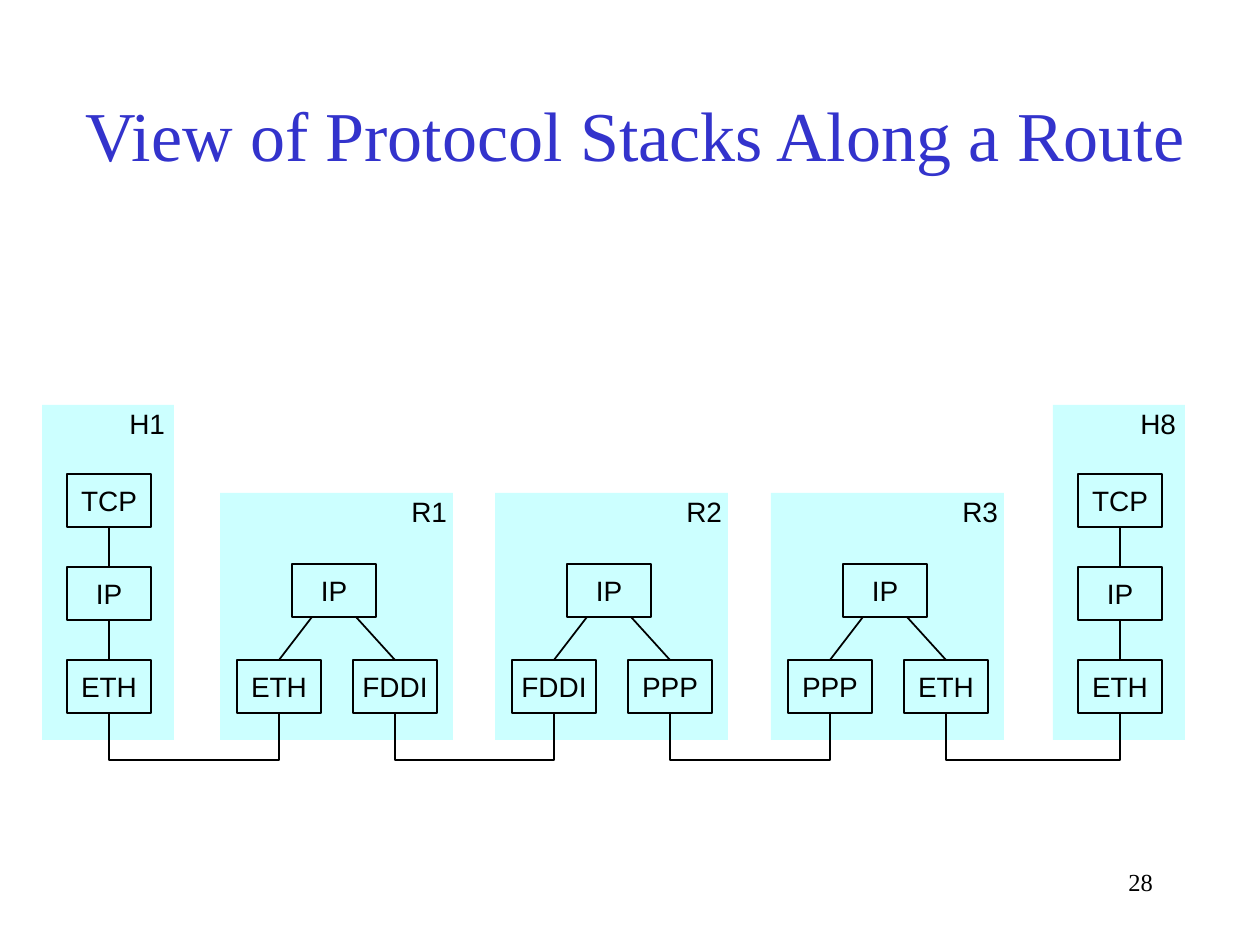
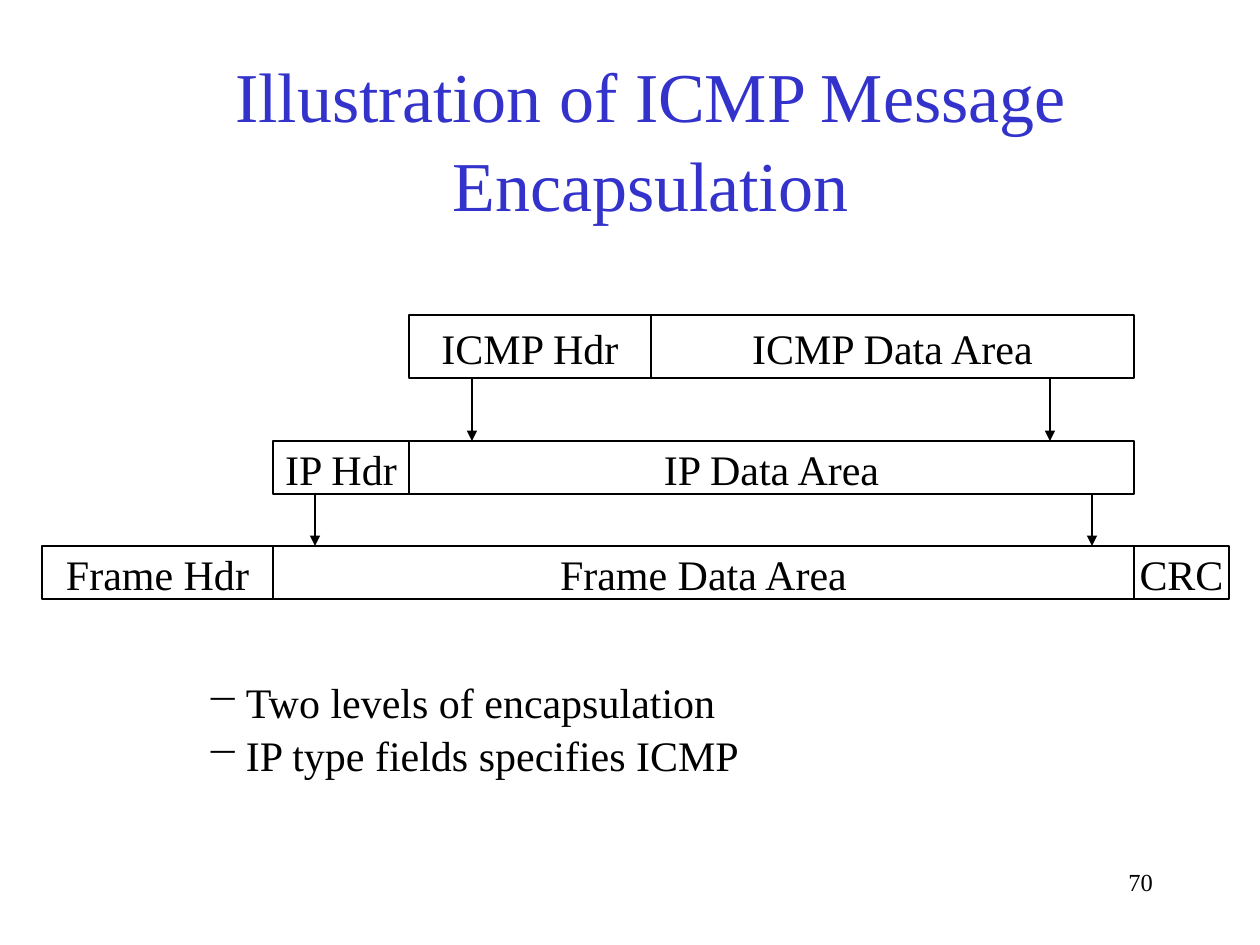
from lxml.etree import SubElement
from pptx import Presentation
from pptx.dml.color import RGBColor
from pptx.enum.shapes import MSO_CONNECTOR as CONN, MSO_SHAPE as SHAPE
from pptx.enum.text import MSO_ANCHOR as ANCHOR, MSO_AUTO_SIZE as FIT, PP_ALIGN as ALIGN
from pptx.oxml.ns import qn
from pptx.util import Emu, Pt

BLACK = RGBColor(0x00, 0x00, 0x00)
WHITE = RGBColor(0xFF, 0xFF, 0xFF)
TITLE_BLUE = RGBColor(0x33, 0x33, 0xCC)
PALE_CYAN = RGBColor(0xCC, 0xFF, 0xFF)
SERIF, SANS = "Times New Roman", "Arial"
LINE_SPACING = 1.05

BOX_W, BOX_H = 84, 53
PANEL_BOTTOM = 740
LOWEST_BOX_Y = 660
CABLE_Y = 760


def px(n):
    return Emu(round(n * 914400 / 126))


def write(p, text, size, font=SERIF, color=BLACK, align=ALIGN.CENTER):
    p.alignment = align
    r = p.add_run()
    r.text = text
    r.font.size = Pt(size)
    r.font.name = font
    r.font.color.rgb = color


def set_frame(tf, anchor, left=0, top=0, right=0, bottom=0, wrap=True):
    tf.word_wrap = wrap
    tf.auto_size = FIT.NONE
    tf.vertical_anchor = anchor
    tf.margin_left, tf.margin_top = px(left), px(top)
    tf.margin_right, tf.margin_bottom = px(right), px(bottom)


def add_slide(prs, title, title_box, number):
    s = prs.slides.add_slide(prs.slide_layouts[5])
    sp = s.shapes.title
    sp.left, sp.top, sp.width, sp.height = map(px, title_box)
    set_frame(sp.text_frame, ANCHOR.MIDDLE, 12, 6, 12, 6)
    p = sp.text_frame.paragraphs[0]
    p.line_spacing = LINE_SPACING
    write(p, title, 40, color=TITLE_BLUE)
    tf = s.shapes.add_textbox(px(903), px(861), px(262), px(63)).text_frame
    set_frame(tf, ANCHOR.TOP, 12, 6, 12, 6)
    write(tf.paragraphs[0], number, 14, align=ALIGN.RIGHT)
    return s


def add_rect(s, x, y, w, h, fill=None, line_width=None):
    sp = s.shapes.add_shape(SHAPE.RECTANGLE, px(x), px(y), px(w), px(h))
    sp.shadow.inherit = False
    if fill is None:
        sp.fill.background()
    else:
        sp.fill.solid()
        sp.fill.fore_color.rgb = fill
    if line_width is None:
        sp.line.fill.background()
    else:
        sp.line.color.rgb = BLACK
        sp.line.width = Pt(line_width)
    return sp


def add_line(s, x1, y1, x2, y2, width=1, arrow=False):
    c = s.shapes.add_connector(CONN.STRAIGHT, px(x1), px(y1), px(x2), px(y2))
    c.line.color.rgb = BLACK
    c.line.width = Pt(width)
    if arrow:
        SubElement(c.line._get_or_add_ln(), qn("a:tailEnd"), type="triangle")
    SubElement(c._element.spPr, qn("a:effectLst"))
    return c


def add_panel(s, name, x, y, w, right_margin):
    sp = add_rect(s, x, y, w, PANEL_BOTTOM - y, PALE_CYAN)
    set_frame(sp.text_frame, ANCHOR.TOP, top=2, right=right_margin)
    write(sp.text_frame.paragraphs[0], name, 16, SANS, align=ALIGN.RIGHT)


def add_layer(s, protocol, x, y):
    sp = add_rect(s, x, y, BOX_W, BOX_H, line_width=1)
    set_frame(sp.text_frame, ANCHOR.MIDDLE)
    write(sp.text_frame.paragraphs[0], protocol, 16, SANS)
    return sp


def add_host(s, name, x):
    add_panel(s, name, x, 405, 132, 9)
    layers = [add_layer(s, protocol, x + 25, 474 + 93 * i)
              for i, protocol in enumerate(("TCP", "IP", "ETH"))]
    for upper, lower in zip(layers, layers[1:]):
        c = add_line(s, 0, 0, 0, 0)
        c.begin_connect(upper, 2)
        c.end_connect(lower, 0)
    return layers[-1]


def add_router(s, name, x, left_link, right_link):
    top = 493
    ip_y = 564
    add_panel(s, name, x, top, 233, 6)
    add_layer(s, "IP", x + 72, ip_y)
    ports = []
    for protocol, box_dx, line_dx in ((left_link, 17, 92), (right_link, 133, 136)):
        port = add_layer(s, protocol, x + box_dx, LOWEST_BOX_Y)
        start = x + line_dx
        c = add_line(s, start, ip_y + BOX_H, start, LOWEST_BOX_Y)
        c.end_connect(port, 0)
        ports.append(port)
    return ports


def add_cable(s, port_a, port_b):
    xa, xb = (port.left + port.width // 2 for port in (port_a, port_b))
    ya, yb = (port.top + port.height for port in (port_a, port_b))
    fb = s.shapes.build_freeform(xa, ya)
    fb.add_line_segments([(xa, px(CABLE_Y)), (xb, px(CABLE_Y)), (xb, yb)], close=False)
    sp = fb.convert_to_shape()
    sp.shadow.inherit = False
    sp.fill.background()
    sp.line.color.rgb = BLACK
    sp.line.width = Pt(1)


def add_packet(s, y, h, edges, fields):
    for left, right, field in zip(edges, edges[1:], fields):
        sp = add_rect(s, left, y, right - left, h, WHITE, 0.75)
        set_frame(sp.text_frame, ANCHOR.MIDDLE, wrap=False)
        p = sp.text_frame.paragraphs[0]
        p.line_spacing = LINE_SPACING
        write(p, field, 24)


def add_dash_list(s, items, x, y, w, h):
    tf = s.shapes.add_textbox(px(x), px(y), px(w), px(h)).text_frame
    set_frame(tf, ANCHOR.TOP, top=6)
    for i, item in enumerate(items):
        p = tf.add_paragraph() if i else tf.paragraphs[0]
        p.line_spacing = LINE_SPACING
        write(p, item, 24, align=ALIGN.LEFT)
        pPr = p._p.get_or_add_pPr()
        pPr.set("marL", str(px(40)))
        pPr.set("indent", str(-px(40)))
        SubElement(pPr, qn("a:buChar"), char="−")


def build_route(prs):
    s = add_slide(prs, "View of Protocol Stacks Along a Route", (63, 53, 1144, 157), "28")
    routers = (("R1", 220, "ETH", "FDDI"),
               ("R2", 495, "FDDI", "PPP"),
               ("R3", 771, "PPP", "ETH"))
    ports = [add_host(s, "H1", 42)]
    for router in routers:
        ports += add_router(s, *router)
    ports.append(add_host(s, "H8", 1053))
    for port_a, port_b in zip(ports[::2], ports[1::2]):
        add_cable(s, port_a, port_b)


def build_encapsulation(prs):
    s = add_slide(prs, "Illustration of ICMP Message Encapsulation",
                  (94, 32, 1113, 210), "70")
    frame_x, ip_x, icmp_x, data_end = 42, 273, 409, 1134
    add_packet(s, 315, 63, (icmp_x, 651, data_end), ("ICMP Hdr", "ICMP Data Area"))
    add_packet(s, 441, 53, (ip_x, icmp_x, data_end), ("IP Hdr", "IP Data Area"))
    add_packet(s, 546, 53, (frame_x, ip_x, data_end, 1229),
               ("Frame Hdr", "Frame Data Area", "CRC"))
    for y1, y2, xs in ((378, 441, (472, 1050)), (494, 546, (315, 1092))):
        for x in xs:
            add_line(s, x, y1, x, y2, 0.75, arrow=True)
    add_dash_list(s, ("Two levels of encapsulation", "IP type fields specifies ICMP"),
                  206, 668, 560, 164)


def main():
    prs = Presentation()
    prs.slide_width, prs.slide_height = px(1260), px(945)
    build_route(prs)
    build_encapsulation(prs)
    prs.save("out.pptx")


if __name__ == "__main__":
    main()
